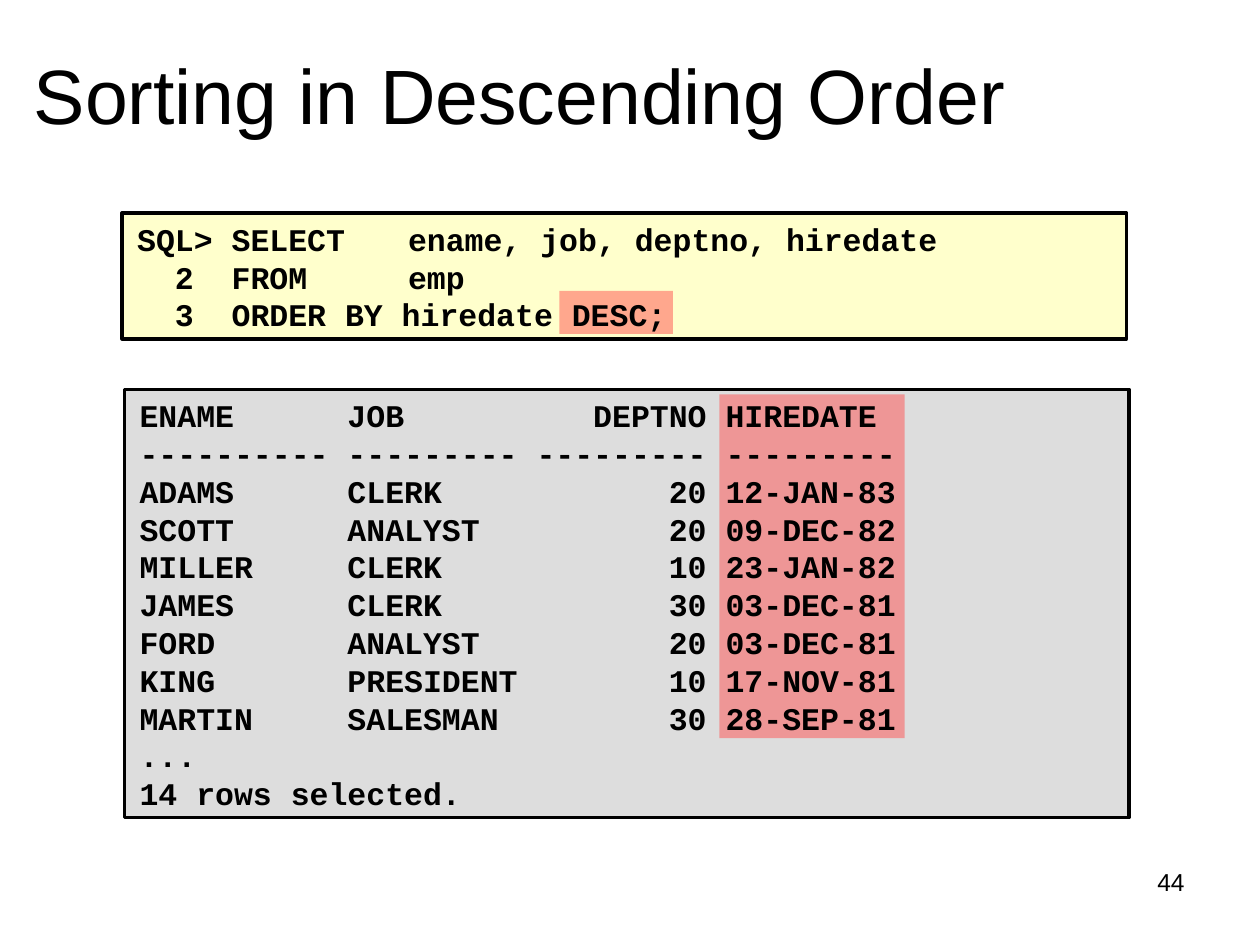
from dataclasses import dataclass
from typing import Optional

from lxml.etree import SubElement
from pptx import Presentation
from pptx.dml.color import RGBColor
from pptx.enum.shapes import MSO_SHAPE as Shape
from pptx.enum.text import MSO_ANCHOR as Anchor, PP_ALIGN as Align
from pptx.oxml.ns import qn
from pptx.util import Pt


@dataclass
class Panel:
    left: float
    top: float
    width: float
    height: float
    fill: str
    line: Optional[str] = None
    opacity: int = 100


@dataclass
class Label:
    left: float
    top: float
    width: float
    height: float
    text: str
    size: float
    font: str = "Arial"
    bold: bool = False
    align: Align = Align.LEFT
    anchor: Anchor = Anchor.TOP
    tab: Optional[float] = None


def set_color(target, value: str) -> None:
    target.rgb = RGBColor.from_string(value)


def draw_panel(slide, panel: Panel) -> None:
    shape = slide.shapes.add_shape(
        Shape.RECTANGLE, Pt(panel.left), Pt(panel.top), Pt(panel.width), Pt(panel.height)
    )
    shape.shadow.inherit = False
    shape.fill.solid()
    set_color(shape.fill.fore_color, panel.fill)
    if panel.opacity < 100:
        color = shape.fill._xPr.find(qn("a:solidFill"))[0]
        SubElement(color, qn("a:alpha")).set("val", str(panel.opacity * 1000))
    if panel.line:
        set_color(shape.line.color, panel.line)
        shape.line.width = Pt(2)
    else:
        shape.line.fill.background()


def add_tab(paragraph, position: float) -> None:
    tabs = SubElement(paragraph._p.get_or_add_pPr(), qn("a:tabLst"))
    tab = SubElement(tabs, qn("a:tab"))
    tab.set("pos", str(Pt(position)))
    tab.set("algn", "l")


def draw_label(slide, label: Label) -> None:
    shape = slide.shapes.add_textbox(
        Pt(label.left), Pt(label.top), Pt(label.width), Pt(label.height)
    )
    frame = shape.text_frame
    frame.word_wrap = True
    frame.vertical_anchor = label.anchor
    frame.text = label.text
    for paragraph in frame.paragraphs:
        paragraph.alignment = label.align
        if label.tab:
            add_tab(paragraph, label.tab)
        for run in paragraph.runs:
            run.font.name = label.font
            run.font.size = Pt(label.size)
            run.font.bold = label.bold
            set_color(run.font.color, "000000")


def code_label(left: float, top: float, height: float, text: str) -> Label:
    return Label(left, top, 576, height, text, 18, "Courier New", True,
                 anchor=Anchor.MIDDLE, tab=144)


def format_row(name: str, job: str, department: str, hired: str) -> str:
    return f"{name:<10} {job:<9} {department:>9} {hired}"


QUERY = """SQL> SELECT  \t ename, job, deptno, hiredate
  2  FROM    \t emp
  3  ORDER BY hiredate DESC;"""

ROWS = [
    ("ENAME", "JOB", "DEPTNO", "HIREDATE"),
    ("-" * 10, "-" * 9, "-" * 9, "-" * 9),
    ("ADAMS", "CLERK", "20", "12-JAN-83"),
    ("SCOTT", "ANALYST", "20", "09-DEC-82"),
    ("MILLER", "CLERK", "10", "23-JAN-82"),
    ("JAMES", "CLERK", "30", "03-DEC-81"),
    ("FORD", "ANALYST", "20", "03-DEC-81"),
    ("KING", "PRESIDENT", "10", "17-NOV-81"),
    ("MARTIN", "SALESMAN", "30", "28-SEP-81"),
]
RESULT = "\n".join([format_row(*row) for row in ROWS] + ["...", "14 rows selected."])

PANELS = [
    Panel(69.84, 121.68, 573.84, 72, "FFFFCC", "000000"),
    Panel(71.28, 222.48, 573.84, 244.8, "DDDDDD", "000000"),
    Panel(319.68, 166.32, 64.8, 24.48, "FF5050", opacity=50),
    Panel(411.12, 225.36, 105.84, 196.56, "FF5050", opacity=50),
]

LABELS = [
    Label(12.24, 23.76, 612, 90, "Sorting in Descending Order", 44),
    code_label(71.28, 120.96, 74.16, QUERY),
    code_label(72.72, 221.76, 246.96, RESULT),
    Label(516.24, 491.76, 167.76, 37.44, "44", 14, align=Align.RIGHT),
]


def main() -> None:
    presentation = Presentation()
    presentation.slide_width = Pt(720)
    presentation.slide_height = Pt(540)
    slide = presentation.slides.add_slide(presentation.slide_layouts[6])
    for panel in PANELS:
        draw_panel(slide, panel)
    for label in LABELS:
        draw_label(slide, label)
    presentation.save("out.pptx")


if __name__ == "__main__":
    main()
